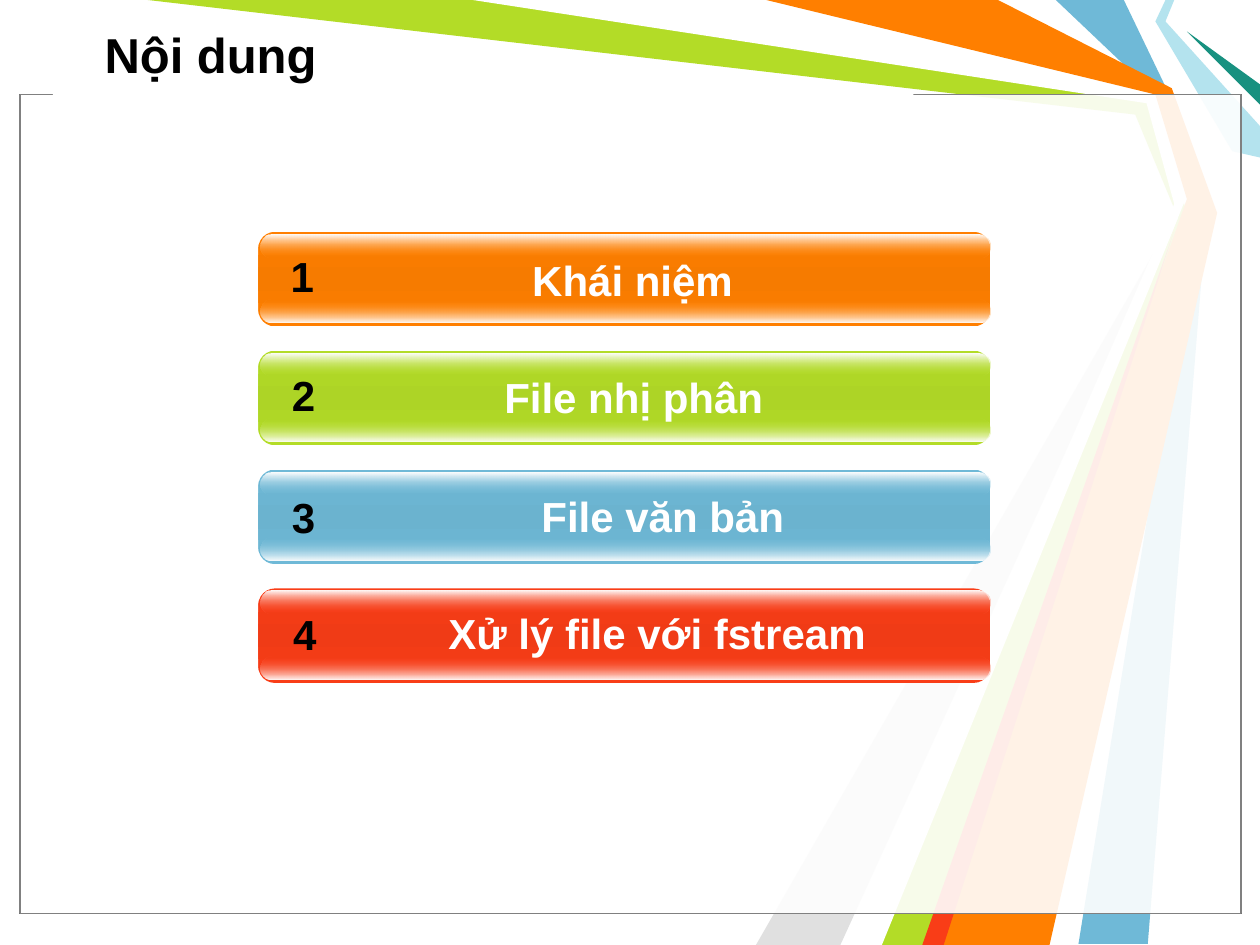
from lxml import etree
from pptx import Presentation
from pptx.dml.color import RGBColor
from pptx.enum.shapes import MSO_SHAPE
from pptx.enum.text import MSO_ANCHOR, MSO_AUTO_SIZE, PP_ALIGN
from pptx.oxml.ns import qn
from pptx.util import Inches, Pt

RECT = MSO_SHAPE.RECTANGLE
ROUND = MSO_SHAPE.ROUNDED_RECTANGLE
MIDDLE = MSO_ANCHOR.MIDDLE
LEFT, CENTER = PP_ALIGN.LEFT, PP_ALIGN.CENTER
FIXED = MSO_AUTO_SIZE.NONE

WHITE = RGBColor(0xFF, 0xFF, 0xFF)
BLACK = RGBColor(0x00, 0x00, 0x00)
GREY = RGBColor(0x80, 0x80, 0x80)
SILVER = RGBColor(0xE0, 0xE0, 0xE0)
BLUE = RGBColor(0x6F, 0xB9, 0xD7)
GREEN = RGBColor(0xB3, 0xDC, 0x27)
AQUA = RGBColor(0xB4, 0xE3, 0xEE)
TEAL = RGBColor(0x18, 0x91, 0x80)
ORANGE = RGBColor(0xFF, 0x7F, 0x00)
RED = RGBColor(0xF9, 0x3D, 0x17)
DARK_ORANGE = RGBColor(0xF6, 0x7B, 0x00)
DARK_GREEN = RGBColor(0xAD, 0xD4, 0x26)
DARK_BLUE = RGBColor(0x6B, 0xB3, 0xCF)
DARK_RED = RGBColor(0xF0, 0x3B, 0x16)

deck = Presentation()
deck.slide_width, deck.slide_height = Inches(10), Inches(7.5)
slide = deck.slides.add_slide(deck.slide_layouts[5])
shapes = slide.shapes


def add_bar(left, top, width, height, curve, stops):
    bar = shapes.add_shape(ROUND, Inches(left), Inches(top), Inches(width), Inches(height))
    bar.shadow.inherit = False
    bar.adjustments[0] = curve
    bar.line.fill.background()
    bar.fill.gradient()
    bar.fill.gradient_angle = 270
    ramp = bar.element.spPr.find(".//" + qn("a:gsLst"))
    ramp.clear()
    for place, color, alpha in stops:
        stop = etree.SubElement(ramp, qn("a:gs"), pos=str(place * 1000))
        tint = etree.SubElement(stop, qn("a:srgbClr"), val=str(color))
        etree.SubElement(tint, qn("a:alpha"), val=str(alpha * 1000))


def write(frame, text, size, color, align):
    frame.word_wrap = True
    frame.auto_size = FIXED
    para = frame.paragraphs[0]
    para.text = text
    para.alignment = align
    look = {"name": "Arial", "size": Pt(size), "bold": True}
    for key, value in look.items():
        setattr(para.runs[0].font, key, value)
    para.runs[0].font.color.rgb = color
    return para


rays = [
    (BLUE, [(8.92, 0), (9.29, 0.77), (9.58, 1.67), (9.11, 7.49), (8.56, 7.49),
            (9.5, 1.67), (9.17, 0.75), (8.38, 0)]),
    (GREEN, [(1.17, 0), (3.83, 0), (9.14, 0.78), (9.42, 1.69), (7.42, 7.5),
             (6.92, 7.5), (9.35, 1.73), (9.01, 0.91)]),
    (SILVER, [(6.67, 7.5), (9.27, 1.81), (6, 7.5)]),
    (WHITE, [(3.75, 0), (9.1, 0.82), (9.32, 1.62), (6.75, 7.5), (7, 7.5),
             (9.41, 1.58), (9.17, 0.75), (6, 0)]),
    (AQUA, [(9.25, 0), (9.17, 0.17), (9.78, 1.2), (10, 1.25), (10, 1),
            (9.25, 0.17), (9.32, 0)]),
    (TEAL, [(10, 0.83), (9.42, 0.25), (10, 0.67)]),
    (ORANGE, [(6.08, 0), (7.92, 0), (9.3, 0.7), (9.66, 1.69), (8.33, 7.5),
              (7.33, 7.5), (9.42, 1.58), (9.17, 0.75)]),
    (RED, [(7.32, 7.5), (9.32, 1.83), (7.49, 7.5)]),
]
for color, points in rays:
    start, *rest = [(Inches(x), Inches(y)) for x, y in points]
    path = shapes.build_freeform(*start)
    path.add_line_segments(rest, close=True)
    ray = path.convert_to_shape()
    ray.shadow.inherit = False
    ray.fill.solid()
    ray.fill.fore_color.rgb = color
    ray.line.fill.background()

panels = [
    (0.16, 0.75, 9.69, 6.5, BLACK),
    (0.16, 0.75, 9.69, 6.5, GREY),
    (0.42, 0.74, 6.83, 0.17, None),
]
for left, top, width, height, edge in panels:
    panel = shapes.add_shape(RECT, Inches(left), Inches(top), Inches(width), Inches(height))
    panel.shadow.inherit = False
    panel.fill.solid()
    panel.fill.fore_color.rgb = WHITE
    if edge is None:
        panel.line.fill.background()
    else:
        panel.line.color.rgb = edge
        panel.line.width = Pt(0.75)
        tint = panel.element.spPr.find(qn("a:solidFill"))[0]
        etree.SubElement(tint, qn("a:alpha"), val="69000")

title = shapes.title
title.left, title.top = Inches(0.73), Inches(0.08)
title.width, title.height = Inches(9.11), Inches(0.69)
title.text_frame.vertical_anchor = MIDDLE
write(title.text_frame, "Nội dung", 28, BLACK, LEFT)
title.element.getparent().append(title.element)

items = [
    ("Khái niệm", ORANGE, DARK_ORANGE, 2.56, 1.97, 4.92, 2.19, 1.94),
    ("File nhị phân", GREEN, DARK_GREEN, 2.57, 2.9, 4.92, 2.2, 2.88),
    ("File văn bản", BLUE, DARK_BLUE, 2.67, 3.84, 5.18, 2.2, 3.85),
    ("Xử lý file với fstream", RED, DARK_RED, 2.57, 4.77, 5.29, 2.21, 4.78),
]
for index, (text, color, dark, left, top, width, num_left, num_top) in enumerate(items):
    base = 1.84 + index * 2.83 / 3
    add_bar(2.05, base, 5.81, 0.75, 0.175, [(0, color, 100), (50, dark, 100), (100, color, 100)])
    add_bar(2.07, base + 0.54, 5.79, 0.18, 0.5, [(0, color, 0), (100, WHITE, 100)])
    add_bar(2.07, base + 0.02, 5.79, 0.18, 0.5, [(0, WHITE, 100), (100, color, 0)])

    label = shapes.add_textbox(Inches(left), Inches(top), Inches(width), Inches(0.5))
    para = write(label.text_frame, text, 24, WHITE, CENTER)
    props = para._p.get_or_add_pPr()
    props.set("marL", str(Inches(0.5)))
    props.set("indent", str(Inches(-0.5)))

    number = shapes.add_textbox(Inches(num_left), Inches(num_top), Inches(0.42), Inches(0.5))
    write(number.text_frame, str(index + 1), 24, BLACK, CENTER)

deck.save("out.pptx")
